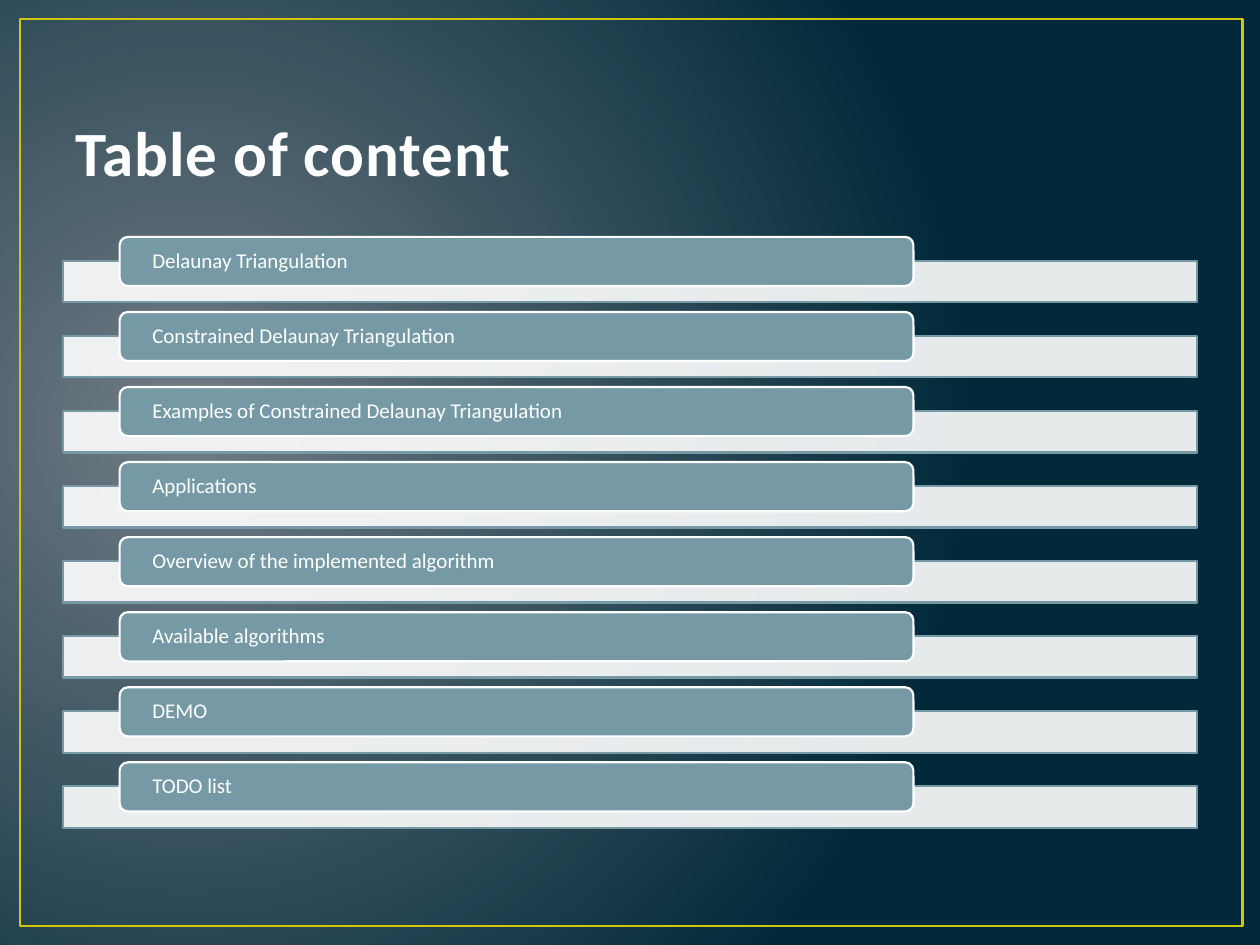
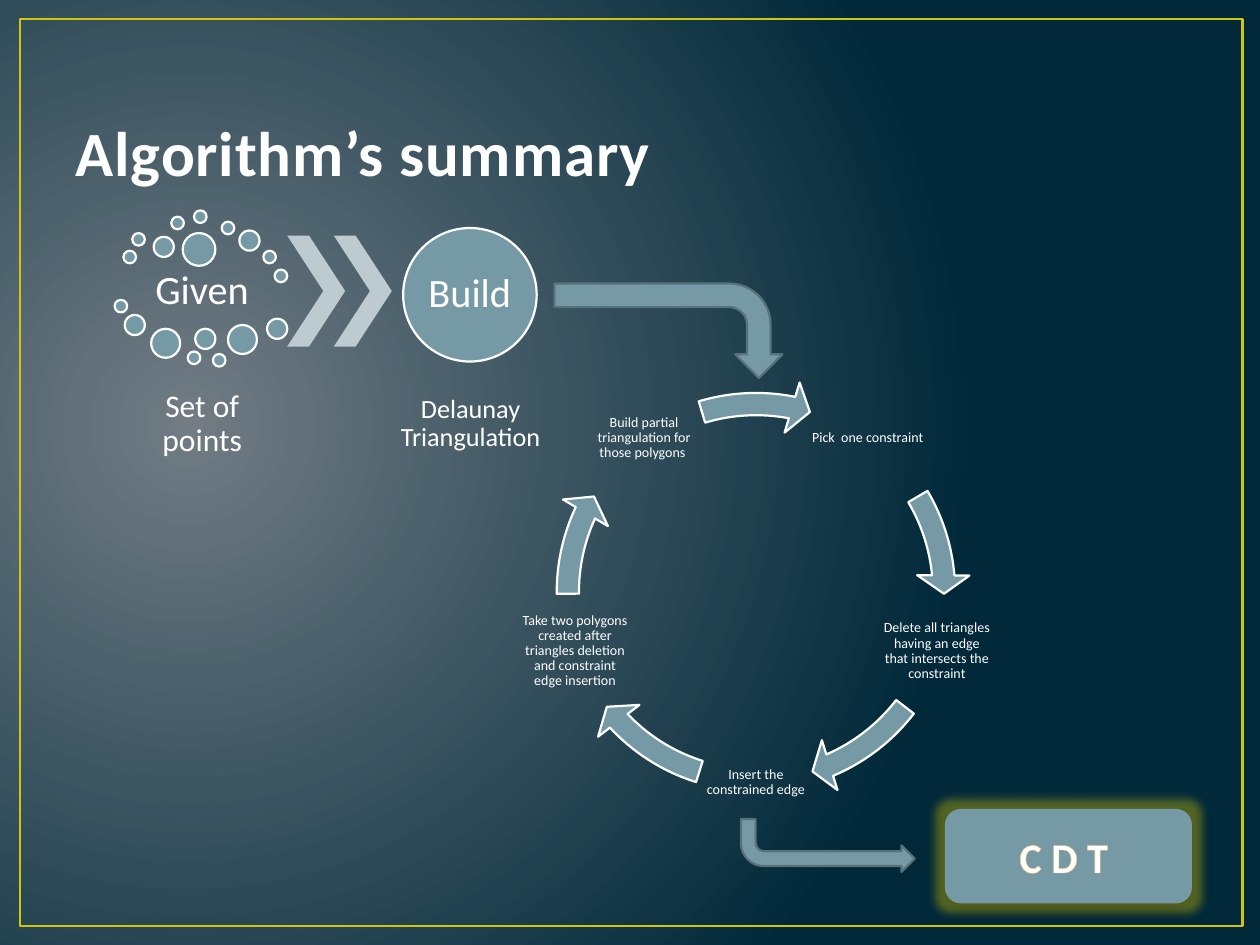
"""Builds two slides on constrained Delaunay triangulation."""
import math

from lxml import etree
from pptx import Presentation
from pptx import util as u
from pptx.dml.color import RGBColor
from pptx.enum import shapes, text
from pptx.oxml.ns import qn

FONT = "Calibri"
C = {
    "glow": "717C84", "navy": "01293A", "frame": "CFC60D", "title": "FEFEFE",
    "title_edge": "384F55", "teal": "759AA5", "teal_edge": "57727A",
    "chevron": "BDCACF", "white": "FFFFFF", "gold": "FFCE77", "black": "000000",
}
MSO = shapes.MSO_SHAPE

TOPICS = [
    "Delaunay Triangulation",
    "Constrained Delaunay Triangulation",
    "Examples of Constrained Delaunay Triangulation",
    "Applications",
    "Overview of the implemented algorithm",
    "Available algorithms",
    "DEMO",
    "TODO list",
]
CYCLE = [
    ("Pick  one constraint", 212.93, 197.67),
    ("Delete all triangles having an edge that intersects the constraint", 40.14, 22.54),
    ("Insert the constrained edge", 82.1, 64.5),
    ("Take two polygons created after triangles deletion and constraint edge insertion",
     122.97, 107.71),
    ("Build partial triangulation for those polygons ", 168.65, 151.99),
]
POINTS = {
    0.1: [(0.98, 1.99), (1.05, 1.85), (1.36, 1.72), (1.54, 1.67), (1.76, 1.76),
          (2.09, 1.99), (2.18, 2.14), (0.91, 2.38), (1.49, 2.79), (1.69, 2.81)],
    0.16: [(1.22, 1.88), (1.9, 1.83), (0.99, 2.5), (1.55, 2.61), (2.12, 2.53)],
    0.23: [(1.2, 2.61), (1.81, 2.58)],
    0.26: [(1.45, 1.85)],
}


def rgb(name):
    """Return a palette colour."""
    return RGBColor.from_string(C[name])


def add_xml(parent, tag, **attrs):
    """Append a child element with the given attributes."""
    return etree.SubElement(parent, qn(tag), {k: str(v) for k, v in attrs.items()})


def add_colour(parent, name, alpha=None):
    """Append an RGB colour, transparent if alpha (percent) is given."""
    clr = add_xml(parent, "a:srgbClr", val=C[name])
    if alpha is not None:
        add_xml(clr, "a:alpha", val=alpha * 1000)


def write(sp, words, size, colour="white", bold=False, align=text.PP_ALIGN.CENTER,
          anchor=text.MSO_ANCHOR.MIDDLE, inset=(0, 0), spacing=0.9, track=None, edge=None):
    """Put one formatted paragraph in a shape."""
    tf = sp.text_frame
    tf.word_wrap = True
    tf.auto_size = text.MSO_AUTO_SIZE.NONE
    tf.vertical_anchor = anchor
    tf.margin_left = tf.margin_right = u.Inches(inset[0])
    tf.margin_top = tf.margin_bottom = u.Inches(inset[1])
    p = tf.paragraphs[0]
    p.alignment, p.line_spacing = align, spacing
    r = p.add_run()
    r.text = words
    r.font.name, r.font.size, r.font.bold = FONT, u.Pt(size), bold
    r.font.color.rgb = rgb(colour)
    rpr = r.font._element
    if track:
        rpr.set("spc", str(track))
    if edge:
        ln = etree.Element(qn("a:ln"), w=str(u.Pt(edge[1])))
        add_colour(add_xml(ln, "a:solidFill"), edge[0])
        rpr.insert(0, ln)


def add_label(s, at, words, size, inset):
    """Add a centred text box."""
    write(s.shapes.add_textbox(*map(u.Inches, at)), words, size, inset=(inset, inset))


def add_figure(s, kind, at, fill="teal", line="white", width=1.25, adj=(), alpha=None):
    """Add a preset shape with flat fill and line."""
    sp = s.shapes.add_shape(kind, *map(u.Inches, at))
    sp.shadow.inherit = False
    for i, value in enumerate(adj):
        sp.adjustments[i] = value
    if fill:
        sp.fill.solid()
        sp.fill.fore_color.rgb = rgb(fill)
    else:
        sp.fill.background()
    if alpha is not None:
        add_xml(sp._element.spPr.find(".//" + qn("a:srgbClr")), "a:alpha", val=alpha * 1000)
    if line:
        sp.line.color.rgb = rgb(line)
        sp.line.width = u.Pt(width)
    else:
        sp.line.fill.background()
    return sp


def set_background(master):
    """Give the master a circular gradient."""
    fill = master.background.fill
    fill.gradient()
    for stop, name in zip(fill.gradient_stops, ("glow", "navy")):
        stop.color.rgb = rgb(name)
    grad = master.element.find(".//" + qn("p:bg")).find(".//" + qn("a:gradFill"))
    grad.remove(grad.find(qn("a:lin")))
    path = add_xml(grad, "a:path", path="circle")
    add_xml(path, "a:fillToRect", l=15000, t=50000, r=85000, b=60000)


def add_frame(s):
    """Draw the frame and move it to the layout."""
    sp = add_figure(s, MSO.RECTANGLE, (0.16, 0.15, 9.7, 7.2), None, "frame", 1.5)
    s.slide_layout.shapes._spTree.insert(2, sp._element)


def add_slide(prs, title):
    """Add a titled slide."""
    s = prs.slides.add_slide(prs.slide_layouts[5])
    sp = s.shapes.title
    sp.left, sp.top, sp.width, sp.height = map(u.Inches, (0.5, 0.3, 9, 1.25))
    write(sp, title, 36, "title", True, text.PP_ALIGN.LEFT, text.MSO_ANCHOR.BOTTOM,
          (0.1, 0.05), 1.0, 50, ("title_edge", 1.05))
    return s


def add_topic(s, top, words):
    """Add a pale bar with a labelled pill over it."""
    add_figure(s, MSO.RECTANGLE, (0.5, top + 0.19, 9, 0.33), "white", "teal", alpha=90)
    pill = add_figure(s, MSO.ROUNDED_RECTANGLE, (0.95, top, 6.3, 0.39))
    write(pill, words, 12, align=text.PP_ALIGN.LEFT, inset=(0.24, 0))


def add_cycle(s, cx, cy, radius):
    """Add the five steps of the loop and the arrows around it."""
    side, ring = 0.91, 3.4
    for i, (words, end, start) in enumerate(CYCLE):
        a = math.radians(72 * i - 54)
        x, y = cx + radius * math.cos(a), cy + radius * math.sin(a)
        add_label(s, (x - side / 2, y - side / 2, side, side), words, 8, 0.01)
        add_figure(s, MSO.CIRCULAR_ARROW, (cx - ring / 2, cy - ring / 2, ring, ring),
                   adj=(0.052, 3.361, end, start, 0.061))


def add_process(s):
    """Add the given points, the chevrons and the build step."""
    add_label(s, (0.98, 2.11, 1.25, 0.41), "Given", 23, 0.03)
    add_label(s, (0.98, 2.98, 1.25, 0.77), "Set of points", 18, 0.03)
    for size, places in POINTS.items():
        for x, y in places:
            add_figure(s, MSO.OVAL, (x, y, size, size))
    for x in (2.28, 2.65):
        add_figure(s, MSO.CHEVRON, (x, 1.87, 0.46, 0.88), "chevron", None, adj=(0.623,))
    write(add_figure(s, MSO.OVAL, (3.2, 1.81, 1.06, 1.06)), "Build", 23)
    add_label(s, (3.11, 2.98, 1.25, 0.77), "Delaunay Triangulation", 15, 0.02)


def add_result(s):
    """Add the glowing result box."""
    sp = add_figure(s, MSO.ROUNDED_RECTANGLE, (7.5, 6.42, 1.96, 0.75), line=None)
    write(sp, "C D T ", 24, bold=True, inset=(0.1, 0.05), spacing=1.0, edge=("gold", 2.48))
    effects = sp._element.spPr.find(qn("a:effectLst"))
    add_colour(add_xml(effects, "a:glow", rad=u.Pt(11)), "frame", 40)
    shadow = add_xml(effects, "a:outerShdw", blurRad=u.Pt(3.5), dist=u.Pt(2.2),
                     dir=5400000, rotWithShape=0)
    add_colour(shadow, "black", 32)


def main():
    """Build and save the slides."""
    prs = Presentation()
    prs.slide_width, prs.slide_height = u.Inches(10), u.Inches(7.5)
    set_background(prs.slide_master)

    s = add_slide(prs, "Table of content")
    add_frame(s)
    for i, words in enumerate(TOPICS):
        add_topic(s, 1.88 + i * 4.17 / 7, words)

    s = add_slide(prs, "Algorithm’s summary")
    add_cycle(s, 6, 4.7, 1.51)
    add_process(s)
    turn = add_figure(s, MSO.BENT_ARROW, (4.93, 1.72, 0.75, 1.81), line="teal_edge")
    turn.rotation = 90
    add_result(s)
    leave = add_figure(s, MSO.BENT_ARROW, (5.88, 6.5, 1.38, 0.42), line="teal_edge",
                       adj=(0.279, 0.25, 0.25, 0.438))
    leave._element.spPr.find(qn("a:xfrm")).set("flipV", "1")
    prs.save("out.pptx")


if __name__ == "__main__":
    main()
